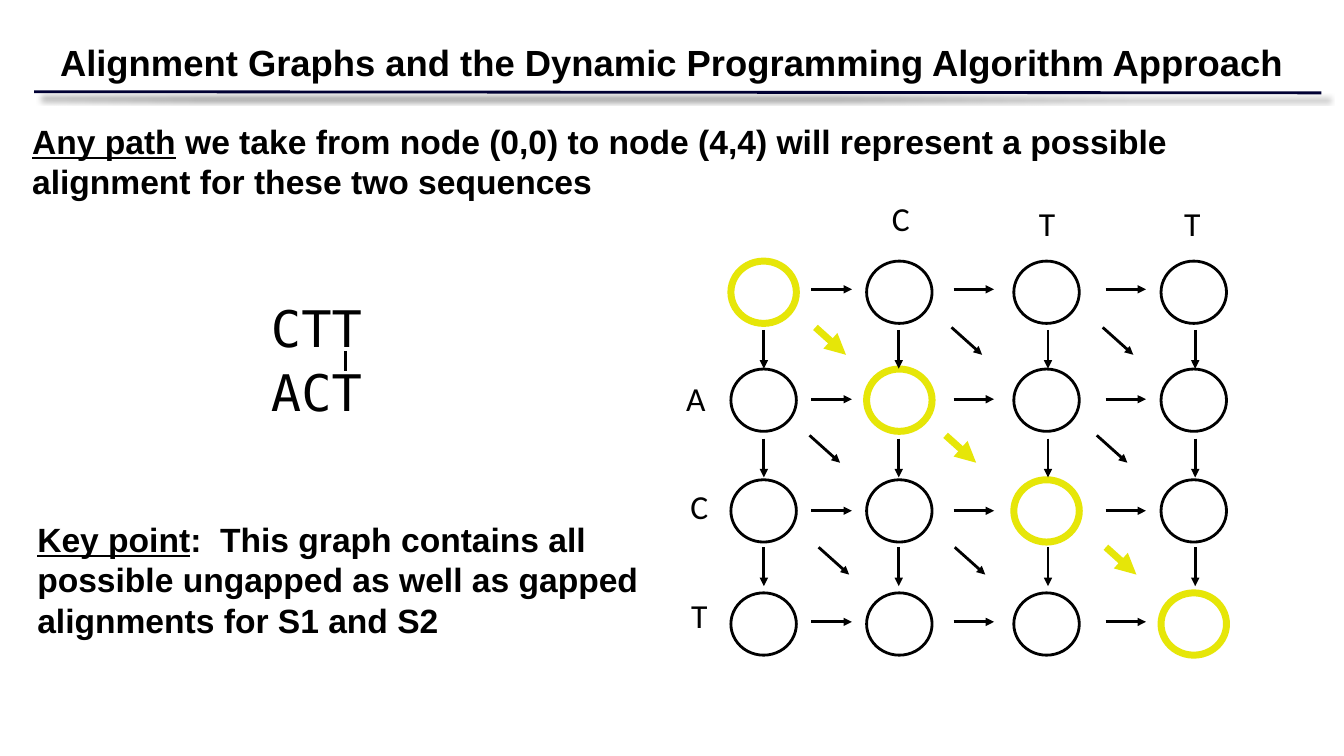
"""Build a slide on graph paths for aligning two short strings."""
import dataclasses

import lxml.etree
import pptx
import pptx.dml.color
import pptx.enum.shapes
import pptx.enum.text
import pptx.oxml.ns
import pptx.util

Cm = pptx.util.Cm
Pt = pptx.util.Pt
qn = pptx.oxml.ns.qn


@dataclasses.dataclass(frozen=True)
class Theme:
    ink: str = "000000"
    gold: str = "E6E608"
    navy: str = "000033"
    sans: str = "Arial"
    tag: str = "Calibri"
    mono: str = "DejaVu Sans Mono"
    head: int = 26
    text: int = 24
    large: int = 36
    thin: float = 2
    bar: float = 2.25
    thick: float = 5


def shade(code):
    return pptx.dml.color.RGBColor.from_string(code)


def write(para, text, font, size, ink, bold=False, under=False):
    run = para.add_run()
    run.text = text
    run.font.name = font
    run.font.size = Pt(size)
    run.font.color.rgb = shade(ink)
    run.font.bold = bold
    run.font.underline = under


class Board:
    def __init__(self, theme):
        self.theme = theme
        self.deck = pptx.Presentation()
        self.deck.slide_width = Cm(33.87)
        self.deck.slide_height = Cm(19.05)
        self.slide = self.deck.slides.add_slide(self.deck.slide_layouts[5])
        self.host = self.slide.shapes

    def title(self, text, left, top, width, height):
        box = self.slide.shapes.title
        box.left, box.top, box.width, box.height = map(Cm, (left, top, width, height))
        frame = box.text_frame
        frame.word_wrap = False
        frame.auto_size = pptx.enum.text.MSO_AUTO_SIZE.NONE
        frame.vertical_anchor = pptx.enum.text.MSO_ANCHOR.TOP
        para = frame.paragraphs[0]
        para.alignment = pptx.enum.text.PP_ALIGN.CENTER
        write(para, text, self.theme.sans, self.theme.head, self.theme.ink, bold=True)

    def text(self, parts, left, top, width, height, font, size, wrap=False, bold=False):
        box = self.host.add_textbox(*map(Cm, (left, top, width, height)))
        frame = box.text_frame
        frame.word_wrap = wrap
        frame.auto_size = pptx.enum.text.MSO_AUTO_SIZE.SHAPE_TO_FIT_TEXT
        for text, under in parts:
            write(frame.paragraphs[0], text, font, size, self.theme.ink,
                  bold=bold, under=under)

    def prose(self, lead, rest, *place):
        self.text([(lead, True), (rest, False)], *place,
                  self.theme.sans, self.theme.text, wrap=True, bold=True)

    def stroke(self, item, gold):
        item.line.color.rgb = shade(self.theme.gold if gold else self.theme.ink)
        item.line.width = Pt(self.theme.thick if gold else self.theme.thin)

    def node(self, left, top, gold):
        oval = self.host.add_shape(pptx.enum.shapes.MSO_SHAPE.OVAL,
                                   *map(Cm, (left, top, 1.65, 1.57)))
        oval.shadow.inherit = False
        oval.fill.background()
        self.stroke(oval, gold)

    def line(self, left, top, wide, tall, ink, width):
        link = self.host.add_connector(pptx.enum.shapes.MSO_CONNECTOR.STRAIGHT,
                                       *map(Cm, (left, top, left + wide, top + tall)))
        link.line.color.rgb = shade(ink)
        link.line.width = Pt(width)
        lxml.etree.SubElement(link._element.spPr, qn("a:effectLst"))
        return link

    def arrow(self, left, top, wide, tall, gold=False):
        link = self.line(left, top, wide, tall, self.theme.ink, self.theme.thin)
        self.stroke(link, gold)
        lxml.etree.SubElement(link.line._get_or_add_ln(), qn("a:tailEnd"), type="triangle")

    def rule(self, left, top, wide, tall):
        link = self.line(left, top, wide, tall, self.theme.navy, self.theme.thin)
        cast = lxml.etree.SubElement(
            link._element.spPr.find(qn("a:effectLst")), qn("a:outerShdw"),
            blurRad=str(Pt(4)), dist=str(Pt(6)), dir="2700000", algn="ctr", rotWithShape="0")
        tint = lxml.etree.SubElement(cast, qn("a:srgbClr"), val=self.theme.ink)
        lxml.etree.SubElement(tint, qn("a:alpha"), val="50000")

    def graph(self):
        self.host = self.slide.shapes.add_group_shape().shapes
        for row, top in enumerate((6.58, 9.3, 12.09, 14.94)):
            for col, left in enumerate((18.42, 21.84, 25.55, 29.26)):
                self.node(left, top, row == col)
        for top in (7.29, 10.06, 12.87, 15.67):
            for left in (20.45, 24.03, 27.86):
                self.arrow(left, top, 1.02, 0)
        for left in (19.25, 22.65, 26.41, 30.12):
            for row in range(3):
                self.arrow(left, 8.31 + 2.74 * row, 0, 0.98)
        for row, (top, shift) in enumerate(((8.25, 0), (10.97, -0.15), (13.79, 0.08))):
            for col, left in enumerate((20.55, 23.98, 27.79)):
                self.arrow(left + shift, top, 0.77, 0.69, row == col)
        for sign, left, top in (("C", 22.23, 4.85), ("T", 25.93, 5), ("T", 29.59, 4.98),
                                ("A", 17.04, 9.4), ("C", 17.15, 12.12), ("T", 17.17, 14.86)):
            self.text([(sign, False)], left, top, 0.96, 1.22,
                      self.theme.tag, self.theme.text)
        self.host = self.slide.shapes


def main():
    theme = Theme()
    board = Board(theme)
    board.rule(0.86, 2.31, 32.44, 0.03)
    board.graph()
    board.title("Alignment Graphs and the Dynamic Programming Algorithm Approach",
                1.12, 0.89, 31.65, 1.37)
    board.prose("Any path", " we take from node (0,0) to node (4,4) will represent "
                "a possible alignment for these two sequences", 0.56, 2.92, 32.77, 2.31)
    for word, top in (("CTT", 7.37), ("ACT", 8.97)):
        board.text([(word, False)], 6.58, top, 2.82, 1.8, theme.mono, theme.large)
    board.line(8.71, 8.84, 0, 0.51, theme.ink, theme.bar)
    board.prose("Key point", ":  This graph contains all possible ungapped as well "
                "as gapped alignments for S1 and S2", 0.69, 12.95, 15.88, 3.33)
    board.deck.save("out.pptx")


if __name__ == "__main__":
    main()
